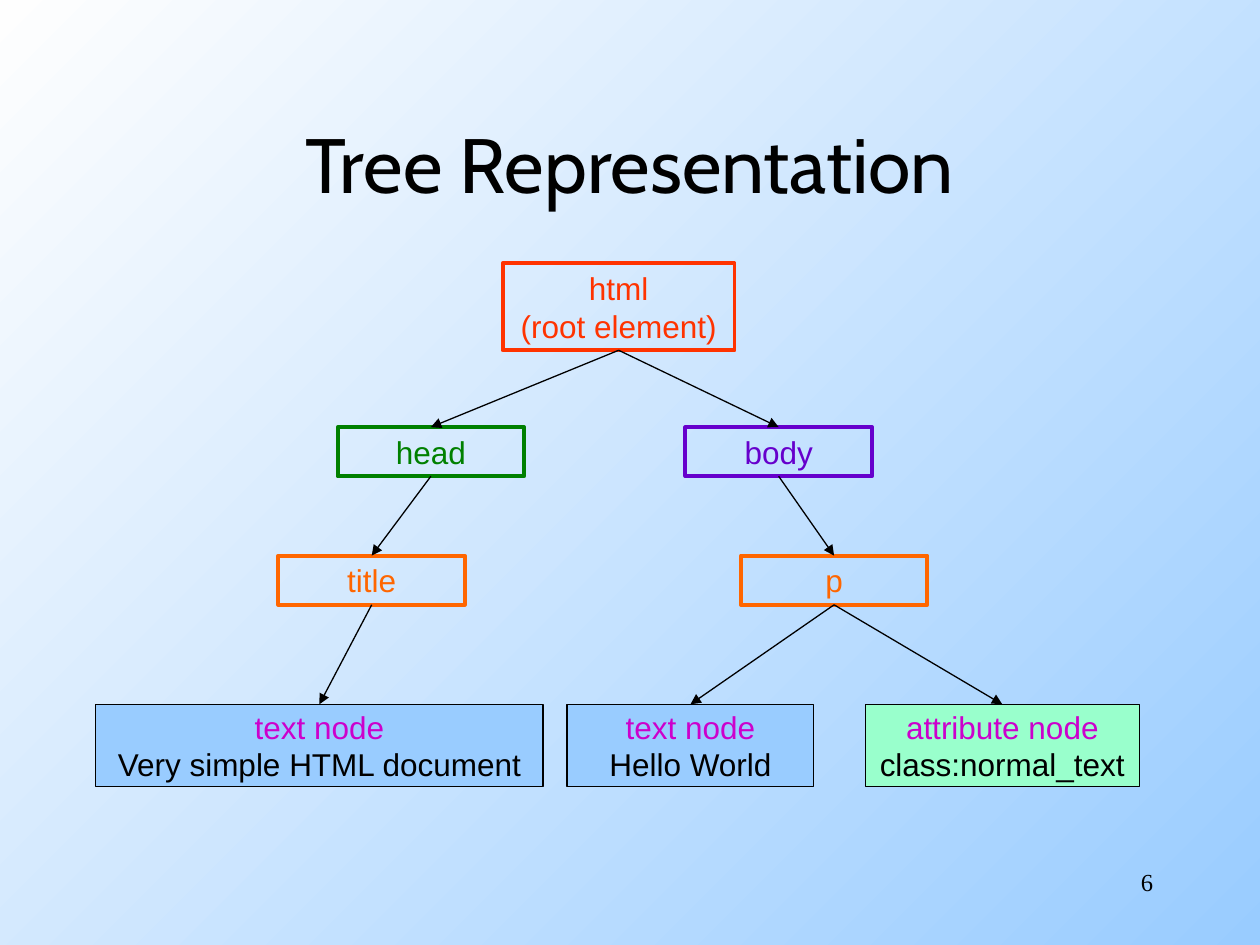
from lxml.etree import SubElement
from pptx import Presentation
from pptx.dml.color import RGBColor
from pptx.enum.shapes import MSO_CONNECTOR, MSO_SHAPE
from pptx.enum.text import MSO_ANCHOR, PP_ALIGN
from pptx.oxml.ns import qn
from pptx.util import Inches, Pt

BLACK, ORANGE, MAGENTA, SKY, MINT = "000000", "FF6600", "CC00CC", "99CCFF", "99FFCC"
BOTTOM, TOP = 2, 0
LEVEL_TOPS = (2.09, 3.39, 4.41, 5.59)
LEVEL_HEIGHTS = (0.69, 0.39, 0.39, 0.65)


def color(hex_code):
    """Return the colour for a hex string."""
    return RGBColor.from_string(hex_code)


def add_text(paragraph, text, size, font_name, hex_code, align):
    """Add one formatted run to an aligned paragraph."""
    paragraph.alignment = align
    run = paragraph.add_run()
    run.text = text
    run.font.size = Pt(size)
    run.font.name = font_name
    run.font.color.rgb = color(hex_code)


def paint_background(slide):
    """Fill the slide with a diagonal blue gradient."""
    fill = slide.background.fill
    fill.gradient()
    fill.gradient_angle = 135
    for stop, hex_code, position in zip(fill.gradient_stops, (SKY, "FEFEFE"), (0, 1)):
        stop.color.rgb = color(hex_code)
        stop.position = position


def add_title(slide, text):
    """Place and format the slide title."""
    title = slide.shapes.title
    title.left, title.top = Inches(0.75), Inches(0.67)
    title.width, title.height = Inches(8.5), Inches(1.25)
    title.text_frame.vertical_anchor = MSO_ANCHOR.MIDDLE
    add_text(title.text_frame.paragraphs[0], text, 44, "Cabin", BLACK, PP_ALIGN.CENTER)


def add_node(slide, level, left, width, lines, outline, weight=2.25, fill=None):
    """Draw a tree node on its level from (text, colour) lines."""
    node = slide.shapes.add_shape(
        MSO_SHAPE.RECTANGLE, Inches(left), Inches(LEVEL_TOPS[level]),
        Inches(width), Inches(LEVEL_HEIGHTS[level]))
    node.shadow.inherit = False
    if fill:
        node.fill.solid()
        node.fill.fore_color.rgb = color(fill)
    else:
        node.fill.background()
    node.line.color.rgb = color(outline)
    node.line.width = Pt(weight)
    frame = node.text_frame
    frame.word_wrap = False
    frame.vertical_anchor = MSO_ANCHOR.MIDDLE
    for index, (text, hex_code) in enumerate(lines):
        paragraph = frame.add_paragraph() if index else frame.paragraphs[0]
        add_text(paragraph, text, 18, "Arial", hex_code, PP_ALIGN.CENTER)
    return node


def add_element(slide, level, left, name, hex_code):
    """Draw an outlined element node."""
    return add_node(slide, level, left, 1.48, [(name, hex_code)], hex_code)


def add_leaf(slide, left, width, kind, value, fill, weight=0.75):
    """Draw a filled leaf node with its kind and value."""
    return add_node(slide, 3, left, width, [(kind, MAGENTA), (value, BLACK)],
                    BLACK, weight, fill)


def add_branch(slide, parent, child):
    """Join a parent node to its child with an arrow."""
    branch = slide.shapes.add_connector(MSO_CONNECTOR.STRAIGHT, 0, 0, 0, 0)
    branch.begin_connect(parent, BOTTOM)
    branch.end_connect(child, TOP)
    branch.line.color.rgb = color(BLACK)
    branch.line.width = Pt(0.75)
    SubElement(branch.line._get_or_add_ln(), qn("a:tailEnd"), type="triangle")
    SubElement(branch._element.spPr, qn("a:effectLst"))


def add_page_number(slide, number):
    """Write the page number at the bottom right."""
    box = slide.shapes.add_textbox(Inches(7.17), Inches(6.83), Inches(2.08), Inches(0.5))
    box.text_frame.word_wrap = True
    add_text(box.text_frame.paragraphs[0], number, 14, "Times New Roman", BLACK,
             PP_ALIGN.RIGHT)


def main():
    """Build the slide with the document tree."""
    deck = Presentation()
    deck.slide_width, deck.slide_height = Inches(10), Inches(7.5)
    slide = deck.slides.add_slide(deck.slide_layouts[5])
    paint_background(slide)
    add_title(slide, "Tree Representation")

    red = "FF3300"
    root = add_node(slide, 0, 3.99, 1.84, [("html", red), ("(root element)", red)], red)
    head = add_element(slide, 1, 2.68, "head", "008000")
    body = add_element(slide, 1, 5.44, "body", "6600CC")
    title = add_element(slide, 2, 2.21, "title", ORANGE)
    p = add_element(slide, 2, 5.88, "p", ORANGE)
    title_text = add_leaf(slide, 0.76, 3.55, "text node", "Very simple HTML document", SKY)
    p_text = add_leaf(slide, 4.5, 1.96, "text node", "Hello World", SKY)
    p_class = add_leaf(slide, 6.87, 2.17, "attribute node", "class:normal_text", MINT, 0.25)

    for parent, child in ((root, head), (root, body), (head, title), (title, title_text),
                          (body, p), (p, p_text), (p, p_class)):
        add_branch(slide, parent, child)
    add_page_number(slide, "6")
    deck.save("out.pptx")


if __name__ == "__main__":
    main()
